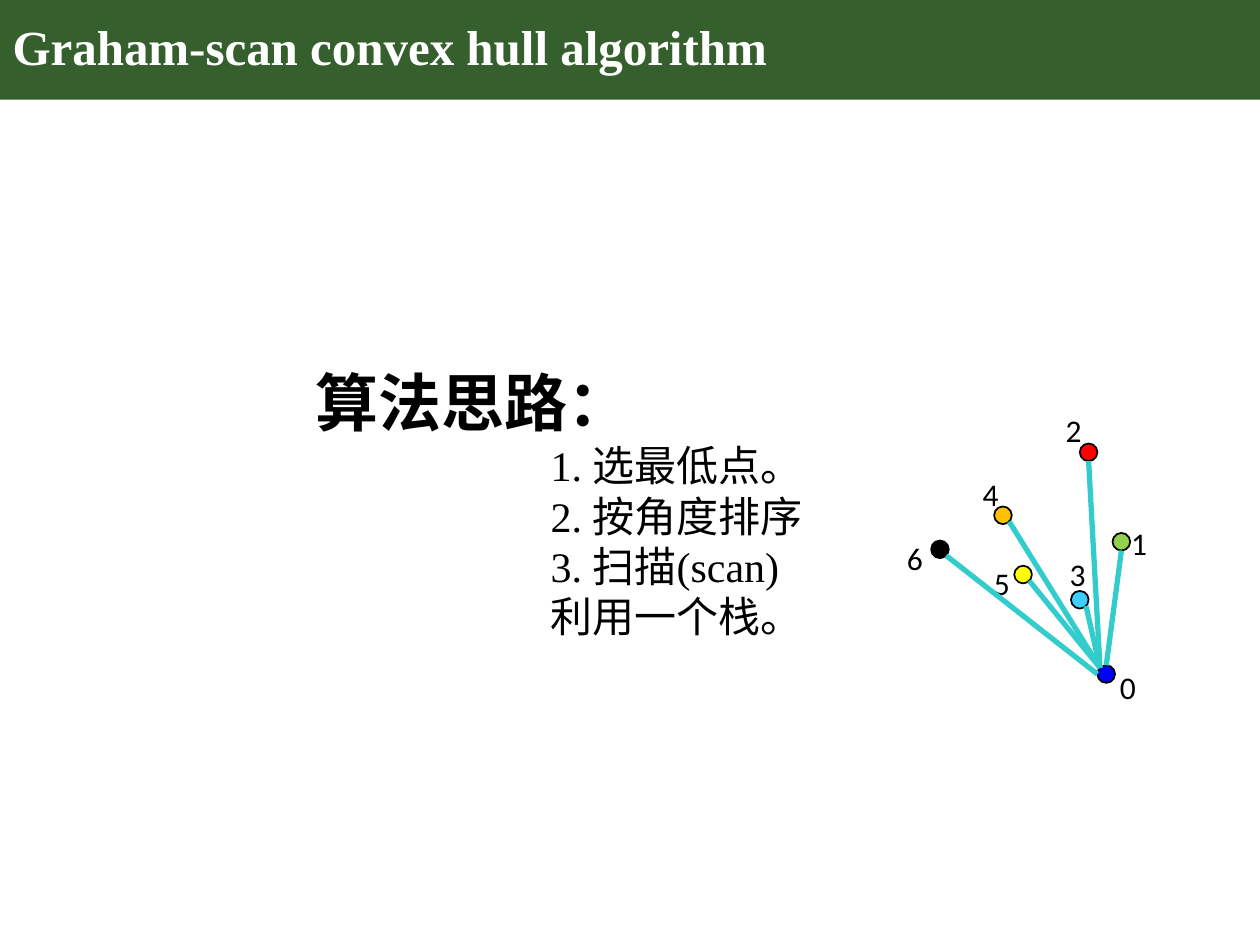
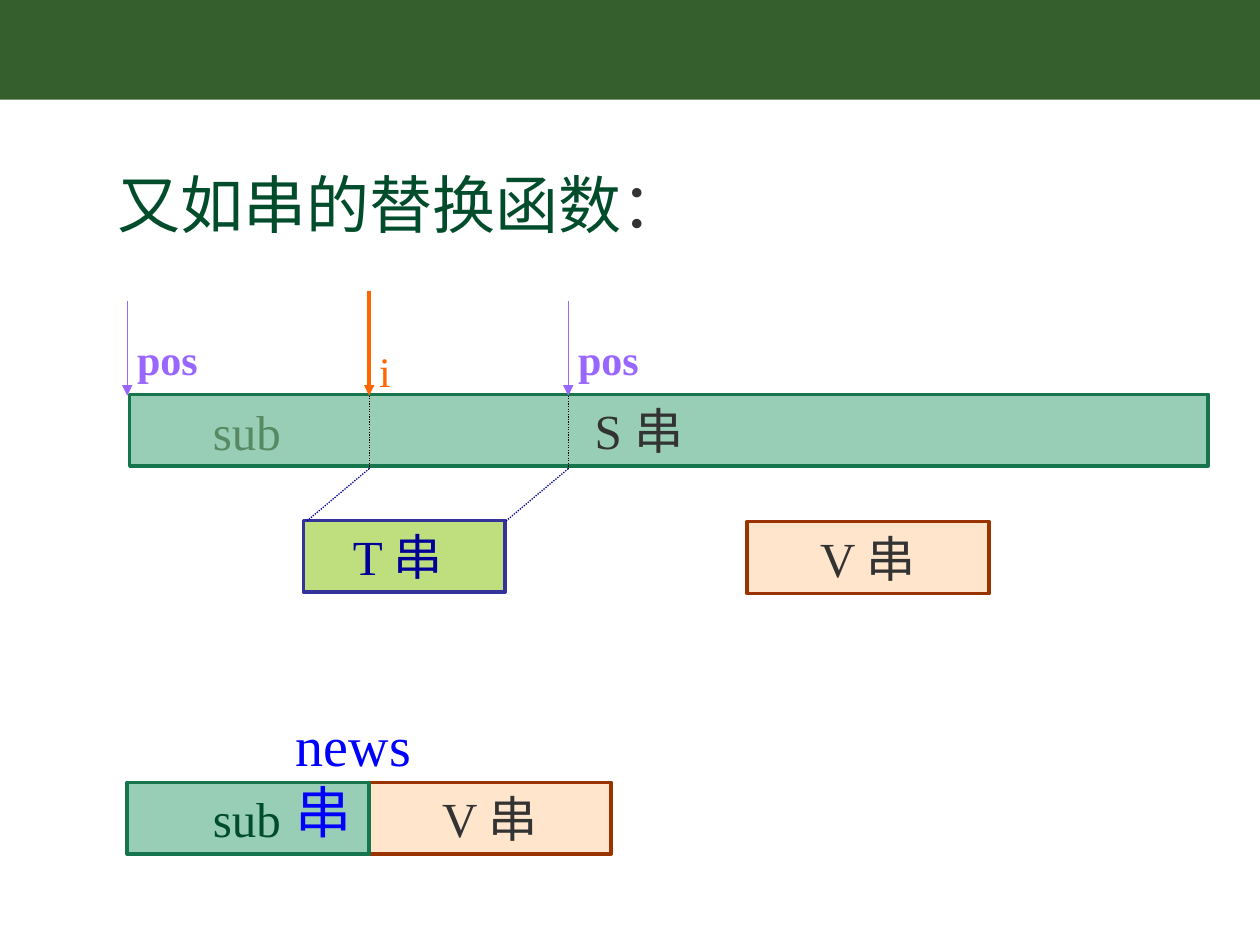
from math import cos, radians, sin

from lxml.etree import SubElement
from pptx import Presentation
from pptx.dml.color import RGBColor
from pptx.enum.dml import MSO_LINE
from pptx.enum.shapes import MSO_CONNECTOR, MSO_SHAPE
from pptx.enum.text import MSO_ANCHOR, MSO_AUTO_SIZE, PP_ALIGN
from pptx.oxml.ns import qn
from pptx.util import Inches, Pt

# The slide is a grid of 10 columns by 7.5 rows of square cells.
COLUMNS, ROWS = 10, 7.5
CELL = Inches(1)
BAND_HEIGHT = 0.79
SERIF, SANS = "Times New Roman", "Calibri"
BAND_GREEN, WHITE, BLACK, DARK_GREY = "365F2E", "FFFFFF", "000000", "333333"
DEEP_GREEN, SPOKE, NAVY, VIOLET, ORANGE = "004C2B", "33CCCC", "000099", "9966FF", "FF6600"
# Fill and outline of each kind of string
S_COLOURS = ("329E6E", "16754D")
T_COLOURS = ("80C000", "333399")
V_COLOURS = ("FFCC99", "993300")

# Label: (colour, dot left, dot top, label left, label top)
POINTS = {
    "0": ("0000FF", 8.71, 5.28, 8.79, 5.25),
    "1": ("92D050", 8.83, 4.23, 8.88, 4.11),
    "2": ("FF0000", 8.57, 3.52, 8.36, 3.21),
    "3": ("3FCDFF", 8.5, 4.69, 8.39, 4.36),
    "4": ("FFC000", 7.89, 4.02, 7.7, 3.72),
    "5": ("FFFF00", 8.05, 4.49, 7.79, 4.43),
    "6": (BLACK, 7.39, 4.29, 7.1, 4.23),
}
DOT = 0.14
# Label: (direction in which the spoke leaves point 0, side of the dot it reaches), in degrees
SPOKES = {"1": (90, 270), "2": (135, 270), "3": (135, 315),
          "4": (135, 315), "5": (135, 315), "6": (180, 315)}


def colour(hex_string):
    return RGBColor.from_string(hex_string)


def grid(*cells):
    return [round(cell * CELL) for cell in cells]


def format_runs(paragraph, size, hex_colour, font=SERIF, bold=False):
    for run in paragraph.runs:
        run.font.size = Pt(size)
        run.font.name = font
        run.font.bold = bold
        run.font.color.rgb = colour(hex_colour)


def set_frame(shape, anchor, wrap=True):
    frame = shape.text_frame
    frame.word_wrap = wrap
    frame.auto_size = MSO_AUTO_SIZE.NONE
    frame.vertical_anchor = anchor
    return frame


def place(shape, left, top, width, height):
    shape.left, shape.top, shape.width, shape.height = grid(left, top, width, height)


def add_box(slide, kind, area, fill, line=None, line_width=1, opacity=None):
    shape = slide.shapes.add_shape(kind, *grid(*area))
    shape.shadow.inherit = False
    shape.fill.solid()
    shape.fill.fore_color.rgb = colour(fill)
    if opacity:
        tint = shape.fill._xPr.find(qn("a:solidFill"))[0]
        SubElement(tint, qn("a:alpha"), val=str(opacity * 1000))
    if line:
        shape.line.color.rgb = colour(line)
        shape.line.width = Pt(line_width)
    else:
        shape.line.fill.background()
    return shape


def add_line(slide, start, end, hex_colour, width=0.75, dotted=False, arrow=False):
    connector = slide.shapes.add_connector(MSO_CONNECTOR.STRAIGHT, *grid(*start, *end))
    connector.line.color.rgb = colour(hex_colour)
    connector.line.width = Pt(width)
    if dotted:
        connector.line.dash_style = MSO_LINE.ROUND_DOT
    if arrow:
        SubElement(connector.line._get_or_add_ln(), qn("a:tailEnd"), type="triangle")
    SubElement(connector._element.spPr, qn("a:effectLst"))


def add_label(slide, text, area, size, hex_colour, font=SERIF, bold=False, wrap=False):
    box = slide.shapes.add_textbox(*grid(*area))
    frame = set_frame(box, MSO_ANCHOR.TOP, wrap)
    frame.text = text
    format_runs(frame.paragraphs[0], size, hex_colour, font, bold)


def add_string_bar(slide, area, colours, text="", text_offset=0.1, text_colour=DARK_GREY):
    """Half-transparent bar whose text starts text_offset cells from its left side."""
    bar = add_box(slide, MSO_SHAPE.RECTANGLE, area, *colours, line_width=2, opacity=50)
    frame = set_frame(bar, MSO_ANCHOR.MIDDLE, wrap=False)
    frame.margin_left, = grid(text_offset)
    frame.text = text
    frame.paragraphs[0].alignment = PP_ALIGN.LEFT
    format_runs(frame.paragraphs[0], 28, text_colour)


def set_title(slide, text, area, size, hex_colour, bold=False):
    title = slide.shapes.title
    place(title, *area)
    frame = set_frame(title, MSO_ANCHOR.MIDDLE)
    frame.text = text
    paragraph = frame.paragraphs[0]
    paragraph.alignment = PP_ALIGN.LEFT
    paragraph.line_spacing = 0.9
    format_runs(paragraph, size, hex_colour, bold=bold)
    return paragraph


def move_band_to_master(presentation, slide):
    """Draw the band on the slide, then hand it to the master so all slides share it."""
    band = add_box(slide, MSO_SHAPE.RECTANGLE, (0, 0, COLUMNS, BAND_HEIGHT), BAND_GREEN)
    presentation.slide_master.shapes.element.insert(2, band.element)


def set_outline(slide, heading, steps):
    body = slide.placeholders[1]
    place(body, 1.4, 1.02, 6.81, 6)
    frame = set_frame(body, MSO_ANCHOR.MIDDLE)
    frame.text = "\n".join([heading, *steps])
    for index, paragraph in enumerate(frame.paragraphs):
        is_heading = index == 0
        properties = paragraph._p.get_or_add_pPr()
        properties.set("marL", str(grid(1 if is_heading else 2.87)[0]))
        properties.set("indent", "0")
        paragraph.space_before = Pt(0)
        paragraph.line_spacing = 0.9 if is_heading else 1.0
        SubElement(properties, qn("a:buNone"))
        format_runs(paragraph, 36 if is_heading else 24, BLACK, bold=is_heading)


def dot_edge(label, degrees):
    _, left, top, *_ = POINTS[label]
    radius = DOT / 2
    angle = radians(degrees)
    return left + radius + radius * cos(angle), top + radius - radius * sin(angle)


def draw_point_fan(slide):
    for label, (fill, left, top, label_left, label_top) in POINTS.items():
        add_box(slide, MSO_SHAPE.OVAL, (left, top, DOT, DOT), fill, BLACK)
        add_label(slide, label, (label_left, label_top, 0.6, 0.4), 18, BLACK, SANS, wrap=True)
    for label, (leaving, reaching) in SPOKES.items():
        add_line(slide, dot_edge("0", leaving), dot_edge(label, reaching), SPOKE, 3)


def draw_string_replacement(slide):
    start, match, match_end = 1.01, 2.93, 4.51
    segment, height = match - start, 0.57
    bar_top, bar_bottom, part_top, result_top = 3.14, 3.72, 4.14, 6.21
    shift = 0.5

    add_string_bar(slide, (1.03, 3.13, 8.56, height), S_COLOURS, "S 串", 3.69)
    add_string_bar(slide, (2.41, 4.13, 1.6, height), T_COLOURS, "T 串", 0.39, NAVY)
    for left, top in ((5.93, part_top), (match, result_top)):
        add_string_bar(slide, (left, top, segment, height), V_COLOURS, "V 串", 0.58)
    for x in (match, match_end):
        add_line(slide, (x, bar_top), (x, bar_bottom), BLACK, dotted=True)
        add_line(slide, (x, bar_bottom), (x - shift, part_top), NAVY, dotted=True)
    for x in (start, match_end):
        add_line(slide, (x, 2.39), (x, bar_top), VIOLET, arrow=True)
        add_label(slide, "pos", (x - 0.02, 2.6, 0.71, 0.5), 24, VIOLET, bold=True)
    add_string_bar(slide, (start, result_top, segment, height), S_COLOURS, "sub", 0.68, DEEP_GREEN)
    add_line(slide, (match, 2.31), (match, bar_top), ORANGE, 2, arrow=True)
    add_label(slide, "i", (match - 0.02, 2.69, 0.29, 0.5), 24, ORANGE)
    add_label(slide, "news 串", (2.25, 5.59, 1.6, 0.64), 32, "0000FF", wrap=True)
    add_label(slide, "sub", (1.59, bar_top, 0.75, height), 28, "578963")


def main():
    presentation = Presentation()
    presentation.slide_width, presentation.slide_height = grid(COLUMNS, ROWS)
    title_and_content, title_only = (presentation.slide_layouts[i] for i in (1, 5))

    hull = presentation.slides.add_slide(title_and_content)
    move_band_to_master(presentation, hull)
    set_title(hull, "Graham-scan convex hull algorithm",
              (0, 0, 8.62, BAND_HEIGHT), 28, WHITE, bold=True)
    set_outline(hull, "算法思路：",
                ["1. 选最低点。", "2. 按角度排序", "3. 扫描(scan)", "利用一个栈。"])
    draw_point_fan(hull)

    replacement = presentation.slides.add_slide(title_only)
    heading = set_title(replacement, "又如串的替换函数", (0.83, 1.3, 4.75, 0.71), 36, DEEP_GREEN)
    colon = heading.add_run()
    colon.text = "："
    format_runs(heading, 36, DEEP_GREEN)
    colon.font.color.rgb = colour(DARK_GREY)
    draw_string_replacement(replacement)

    presentation.save("out.pptx")


if __name__ == "__main__":
    main()
